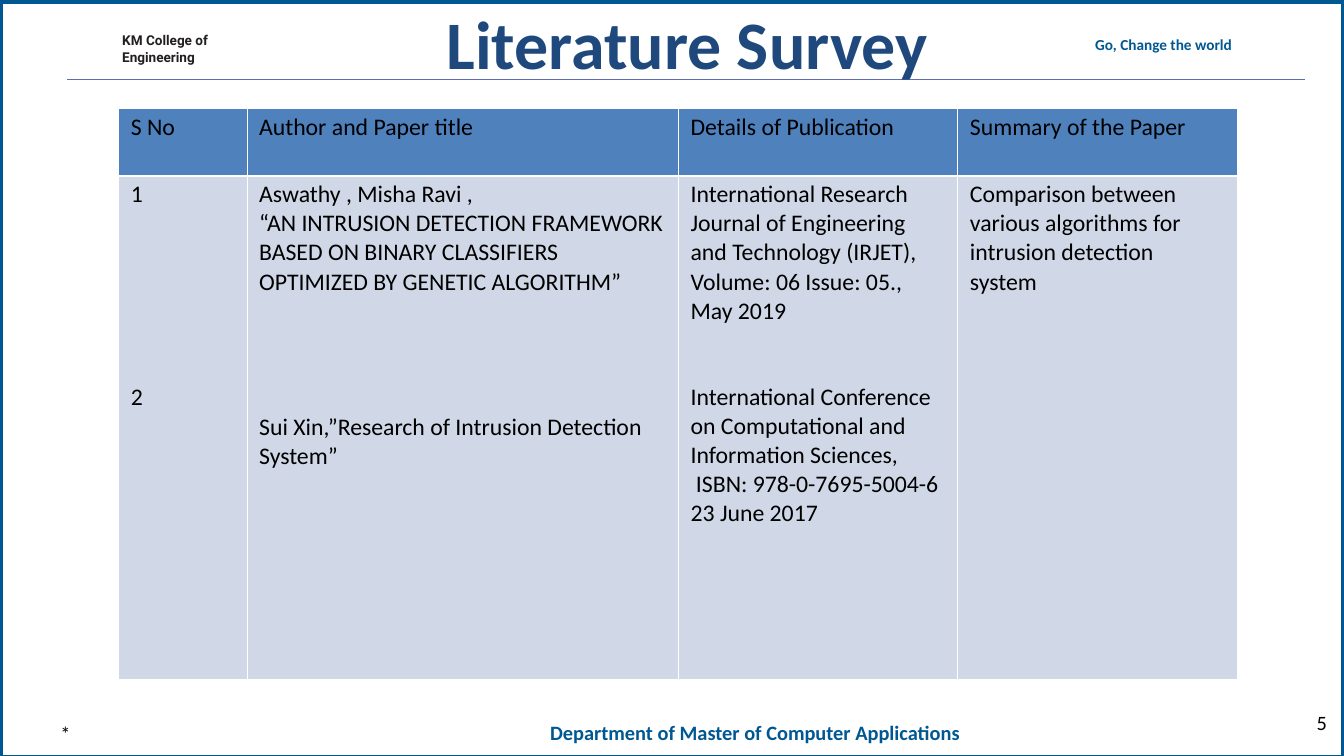
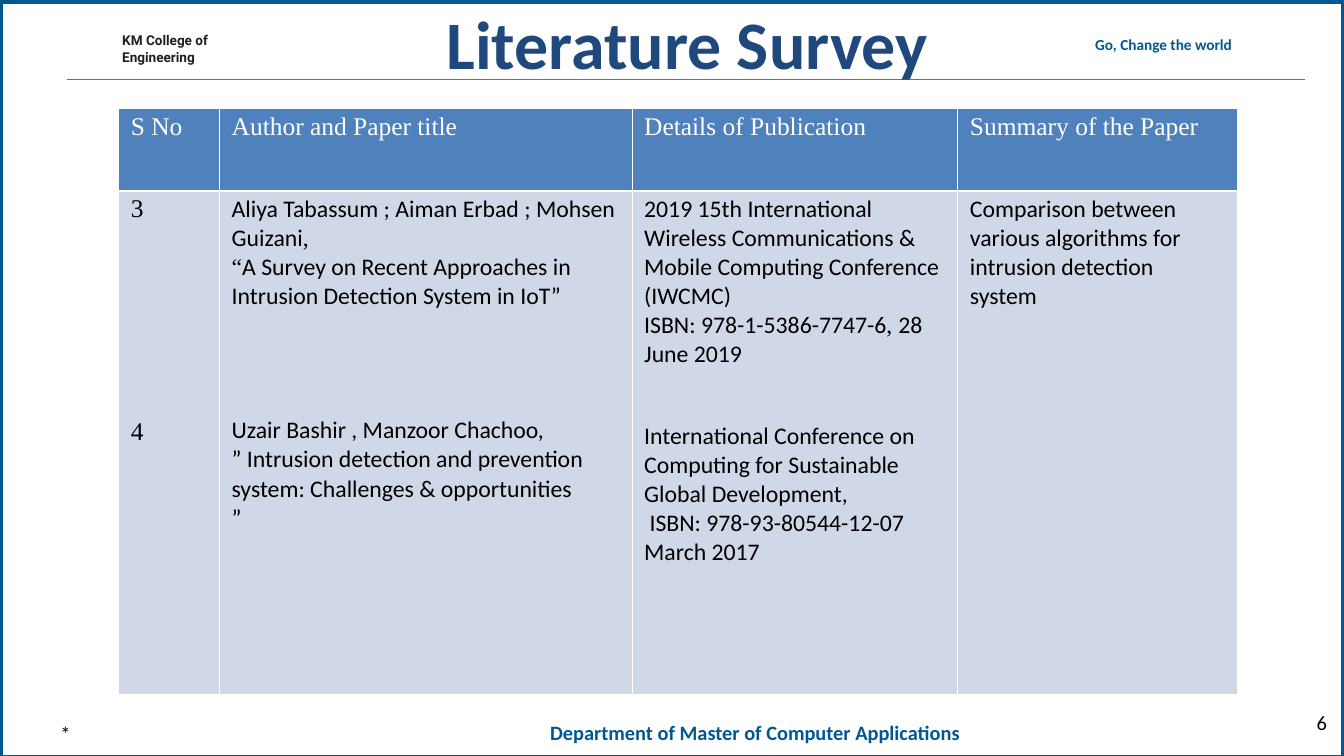
import dataclasses

import pptx
import pptx.dml.color
import pptx.enum.shapes
import pptx.enum.text
import pptx.oxml.xmlchemy
import pptx.util

Inches, Pt = pptx.util.Inches, pptx.util.Pt
ALIGN = pptx.enum.text.PP_ALIGN
new_element = pptx.oxml.xmlchemy.OxmlElement


@dataclasses.dataclass(frozen=True)
class Theme:
    blue: str = "005893"
    navy: str = "1F497D"
    rule: str = "5E6DB3"
    ink: str = "231F20"
    black: str = "000000"
    white: str = "FFFFFF"
    header: str = "4F81BD"
    body: str = "D0D8E7"
    sans: str = "Calibri"
    serif: str = "Times New Roman"
    brand: str = "Roboto"
    title_size: int = 80
    cell_size: int = 28
    label_size: int = 30
    footer_size: int = 24
    motto_size: int = 18
    brand_size: int = 16
    thin: float = 0.96
    thick: float = 3


T = Theme()

# Content: a cell lists (space before in points, runs); runs alternate sans and serif
TITLE = "Literature Survey"
COLLEGE = ["KM College of", "Engineering"]
MOTTO = "Go, Change the world"
DEPARTMENT = "Department of Master of Computer Applications"
HEADERS = ["S No", "Author and Paper title", "Details of Publication",
           "Summary of the Paper"]
SUMMARY = [(0, ["Comparison between various algorithms for intrusion detection system"])]

SURVEYS = [
    {
        "page": "5",
        "label": (T.sans, T.cell_size, T.black),
        "cols": [2.1, 7.06, 4.57, 4.58],
        "rows": [1.1, 8.24],
        "cells": [
            [(0, ["1"]), (205, ["2"])],
            [(0, ["Aswathy , Misha Ravi ,"]),
             (0, ["“AN INTRUSION DETECTION FRAMEWORK BASED ON BINARY CLASSIFIERS "
                  "OPTIMIZED BY GENETIC ALGORITHM”"]),
             (137, ["Sui Xin,”Research of Intrusion Detection System”"])],
            [(0, ["International Research Journal of Engineering and Technology "
                  "(IRJET), Volume: 06 Issue: 05., May 2019"]),
             (68, ["International Conference on Computational and "
                   "Information Sciences,"]),
             (0, [" ISBN: 978-0-7695-5004-6"]),
             (0, ["23 June 2017"])],
            SUMMARY,
        ],
    },
    {
        "page": "6",
        "label": (T.serif, T.label_size, T.white),
        "cols": [1.65, 6.75, 5.33, 4.58],
        "rows": [1.34, 8.24],
        "cells": [
            [(0, ["3"]), (229, ["4"])],
            [(0, ["Aliya Tabassum ; Aiman Erbad ; Mohsen Guizani", ","]),
             (0, ["", "“", "A Survey on Recent Approaches in Intrusion Detection "
                  "System in IoT”"]),
             (124, ["Uzair Bashir , Manzoor Chachoo,"]),
             (0, ["” Intrusion detection and prevention system: "
                  "Challenges & opportunities"]),
             (0, ["”"])],
            [(0, ["2019 15th International Wireless Communications & Mobile "
                  "Computing Conference (IWCMC)"]),
             (0, ["ISBN: 978-1-5386-7747-6", ", ", "28 June 2019"]),
             (62, ["International Conference on Computing for Sustainable "
                   "Global Development,"]),
             (0, [" ISBN: 978-93-80544-12-07 March 2017"])],
            SUMMARY,
        ],
    },
]


# Text helpers
def rgb(color):
    return pptx.dml.color.RGBColor.from_string(color)


def style(r, font, size, color, bold=False):
    r.font.name, r.font.size, r.font.bold = font, Pt(size), bold
    r.font.color.rgb = rgb(color)


def set_margins(tf, top=0):
    tf.margin_left = tf.margin_right = tf.margin_bottom = 0
    tf.margin_top = Inches(top)
    tf.vertical_anchor = pptx.enum.text.MSO_ANCHOR.TOP
    tf.auto_size = pptx.enum.text.MSO_AUTO_SIZE.NONE
    tf.word_wrap = True


def add_text(slide, box, lines, font, size, color, bold=False,
             align=ALIGN.LEFT, top=0, spacing=None):
    sp = slide.shapes.add_textbox(*map(Inches, box))
    tf = sp.text_frame
    set_margins(tf, top)
    tf.text = "\n".join(lines)
    for p in tf.paragraphs:
        p.alignment, p.line_spacing = align, spacing
        style(p.runs[0], font, size, color, bold)
    return sp


# Frame, header and footer, kept on the layout
def build_layout(layout, slide):
    for ph in list(layout.placeholders):
        if ph.placeholder_format.idx:
            layout.shapes._spTree.remove(ph._element)

    frame = slide.shapes.add_shape(pptx.enum.shapes.MSO_SHAPE.RECTANGLE,
                                   0, Inches(0.02), Inches(21.99), Inches(12.37))
    frame.shadow.inherit = False
    frame.fill.solid()
    frame.fill.fore_color.rgb = rgb(T.white)
    frame.line.color.rgb = rgb(T.blue)
    frame.line.width = Pt(6)

    rule = slide.shapes.add_connector(pptx.enum.shapes.MSO_CONNECTOR.STRAIGHT,
                                      Inches(1.1), Inches(1.3),
                                      Inches(21.36), Inches(1.3))
    rule.line.color.rgb = rgb(T.rule)
    rule.line.width = Pt(1.25)
    rule._element.spPr.append(new_element("a:effectLst"))

    shared = [
        frame, rule,
        add_text(slide, (2, 0.48, 1.5, 0.54), COLLEGE, T.brand, T.brand_size,
                 T.ink, True, top=0.02, spacing=1.06),
        add_text(slide, (17.92, 0.56, 3.03, 0.32), [MOTTO], T.sans,
                 T.motto_size, T.blue, True, top=0.01),
        add_text(slide, (9, 11.77, 7.58, 0.42), [DEPARTMENT], T.sans,
                 T.footer_size, T.blue, True, top=0.01),
        add_text(slide, (0.99, 11.8, 5.06, 0.4), ["*"], T.sans,
                 T.footer_size, T.black),
    ]
    for sp in shared:
        layout.shapes._spTree.append(sp._element)


def set_title(slide):
    title = slide.shapes.title
    title.left, title.top, title.width, title.height = map(
        Inches, (5.66, 0.02, 11.17, 1.35))
    tf = title.text_frame
    set_margins(tf)
    tf.text = TITLE
    p = tf.paragraphs[0]
    p.alignment = ALIGN.CENTER
    style(p.runs[0], T.sans, T.title_size, T.navy, True)


# Table
def format_cell(cell, fill, widths):
    cell.margin_left = cell.margin_right = Inches(0.2)
    cell.margin_top = cell.margin_bottom = Inches(0.07)
    tcPr = cell._tc.get_or_add_tcPr()
    for side, width in zip("LRTB", widths):
        ln = new_element(f"a:ln{side}")
        ln.set("w", str(int(Pt(width))))
        paint = new_element("a:solidFill")
        color = new_element("a:srgbClr")
        color.set("val", T.white)
        paint.append(color)
        ln.append(paint)
        tcPr.append(ln)
    cell.fill.solid()
    cell.fill.fore_color.rgb = rgb(fill)


def fill_cell(cell, paragraphs, fonts, size, color):
    tf = cell.text_frame
    for i, (gap, runs) in enumerate(paragraphs):
        p = tf.add_paragraph() if i else tf.paragraphs[0]
        p.space_before = Pt(gap)
        for j, text in enumerate(runs):
            if text:
                r = p.add_run()
                r.text = text
                style(r, fonts[j % 2], size, color)


def add_survey(slide, survey):
    cols, rows = survey["cols"], survey["rows"]
    table = slide.shapes.add_table(
        len(rows), len(cols), Inches(1.94), Inches(1.78),
        Inches(sum(cols)), Inches(sum(rows))).table
    table.first_row = table.horz_banding = False
    for row, height in zip(table.rows, rows):
        row.height = Inches(height)

    font, size, header_color = survey["label"]
    for c, (width, header, content) in enumerate(zip(cols, HEADERS, survey["cells"])):
        table.columns[c].width = Inches(width)
        head, body = table.cell(0, c), table.cell(1, c)
        format_cell(head, T.header, (T.thin, T.thin, T.thin, T.thick))
        format_cell(body, T.body, (T.thin, T.thin, T.thick, T.thin))
        fill_cell(head, [(0, [header])], (font, font), size, header_color)
        if c == 0:
            fill_cell(body, content, (font, font), size, T.black)
        else:
            fill_cell(body, content, (T.sans, T.serif), T.cell_size, T.black)


def main():
    prs = pptx.Presentation()
    prs.slide_width, prs.slide_height = Inches(21.99), Inches(12.37)
    layout = prs.slide_layouts.get_by_name("Title Only")
    for i, survey in enumerate(SURVEYS):
        slide = prs.slides.add_slide(layout)
        if i == 0:
            build_layout(layout, slide)
        set_title(slide)
        add_survey(slide, survey)
        add_text(slide, (18.74, 11.62, 2.97, 0.4), [survey["page"]], T.sans,
                 T.footer_size, T.black, align=ALIGN.RIGHT)
    prs.save("out.pptx")


if __name__ == "__main__":
    main()
